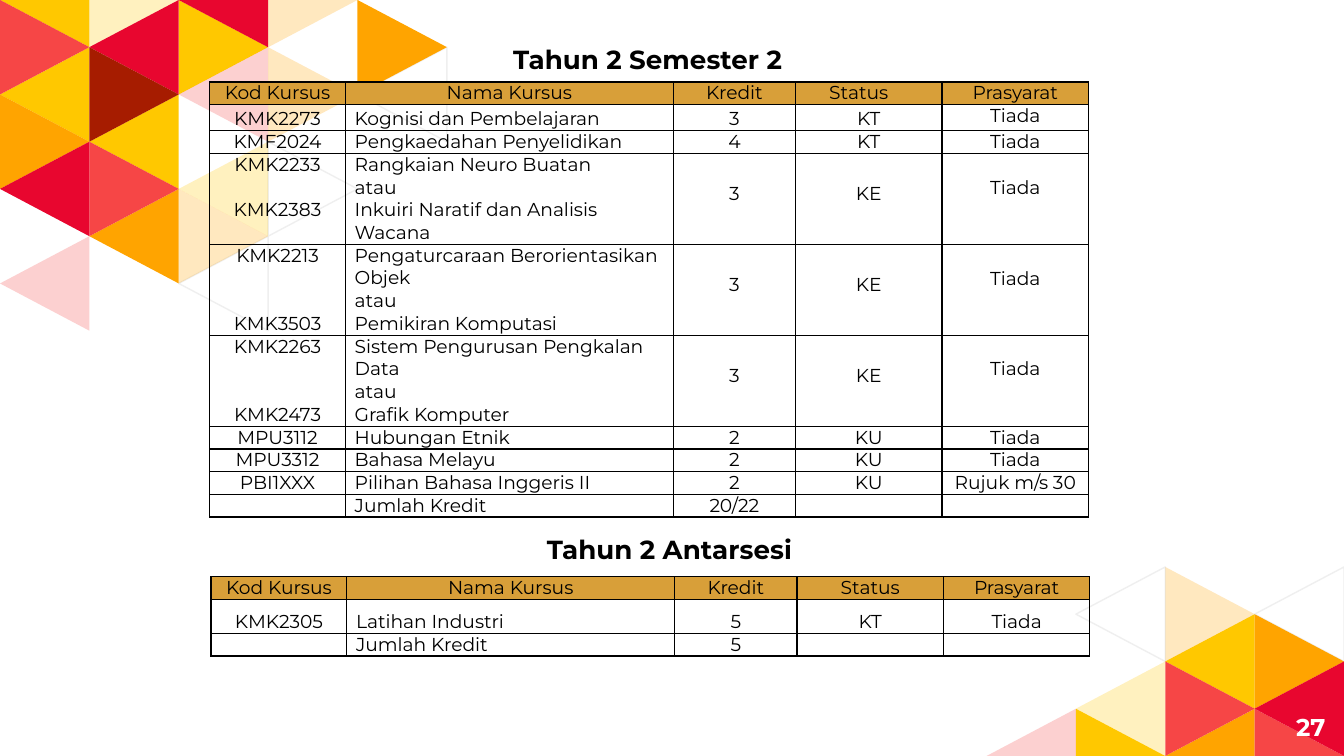
from lxml.etree import SubElement
from pptx import Presentation
from pptx.dml.color import RGBColor
from pptx.enum.text import MSO_ANCHOR, PP_ALIGN
from pptx.oxml.ns import qn
from pptx.util import Inches, Pt

BLACK = RGBColor(0x00, 0x00, 0x00)
WHITE = RGBColor(0xFF, 0xFF, 0xFF)
GREY = RGBColor(0xEF, 0xEF, 0xEF)
GOLD = RGBColor(0xD8, 0x9F, 0x39)
YELLOW = RGBColor(0xFF, 0xC8, 0x00)
ORANGE = RGBColor(0xFF, 0xA4, 0x00)
CORAL = RGBColor(0xF6, 0x46, 0x46)
RED = RGBColor(0xE8, 0x06, 0x2F)
BROWN = RGBColor(0xA6, 0x1C, 0x00)

FONT = "Montserrat"
WIDE = Inches(10)
HIGH = WIDE * 9 // 16
LINE = Pt(12.2)
COLS = (1.01, 2.44, 0.91, 1.09, 1.09)
HEAD = ("Kod Kursus", "Nama Kursus", "Kredit", "Status", "Prasyarat")

UPPER = {
    (WHITE, 100): [(3, 3), (2, 5), (4, 1)],
    (YELLOW, 100): [(2, 0), (0, 1), (1, 2), (0, -1)],
    (YELLOW, 25): [(1, -1), (2, 3)],
    (ORANGE, 100): [(0, 2), (4, 0), (1, 4)],
    (ORANGE, 25): [(3, 1), (2, 4), (3, -1)],
    (CORAL, 100): [(1, 3), (0, 0)],
    (CORAL, 25): [(0, 5), (2, 1)],
    (RED, 100): [(0, 3), (1, 0), (2, -1)],
    (BROWN, 100): [(1, 1)],
}
LOWER = {
    (WHITE, 100): [(1, 0), (3, 0)],
    (YELLOW, 100): [(1, 3), (2, 1)],
    (YELLOW, 25): [(1, 2)],
    (ORANGE, 100): [(3, 1), (2, 3)],
    (ORANGE, 25): [(2, 0)],
    (CORAL, 100): [(2, 2), (3, 3)],
    (CORAL, 25): [(0, 3)],
    (RED, 100): [(3, 2)],
}

TERM = [
    HEAD,
    ("KMK2273", "Kognisi dan Pembelajaran", "3", "KT", "Tiada"),
    ("KMF2024", "Pengkaedahan Penyelidikan", "4", "KT", "Tiada"),
    ("KMK2233\n\nKMK2383",
     "Rangkaian Neuro Buatan\natau\nInkuiri Naratif dan Analisis Wacana",
     "\n3", "\nKE", "\nTiada"),
    ("KMK2213\n\n\nKMK3503",
     "Pengaturcaraan Berorientasikan Objek\natau\nPemikiran Komputasi",
     "\n3", "\nKE", "\nTiada"),
    ("KMK2263\n\n\nKMK2473",
     "Sistem Pengurusan Pengkalan Data\natau\nGrafik Komputer",
     "\n3", "\nKE", "\nTiada"),
    ("MPU3112", "Hubungan Etnik", "2", "KU", "Tiada"),
    ("MPU3312", "Bahasa Melayu", "2", "KU", "Tiada"),
    ("PBI1XXX", "Pilihan Bahasa Inggeris II", "2", "KU", "Rujuk m/s 30"),
    ("", "Jumlah Kredit", "20/22", "", ""),
]
BREAK = [
    HEAD,
    ("KMK2305", "Latihan Industri", "5", "KT", "Tiada"),
    ("", "Jumlah Kredit", "5", "", ""),
]
TERM_LOOSE = {(1, col): 1.15 for col in range(4)} | {
    (row, col): 1.15 for row in (3, 4, 5) for col in (2, 3)}
BREAK_LOOSE = {(1, col): 1.5 for col in range(5)}


def area(left, top, width, height):
    """Turn percentages of the slide into a box of lengths."""
    return [int(side * part / 100) for side, part in
            zip((WIDE, HIGH, WIDE, HIGH), (left, top, width, height))]


def style(par, size, color=BLACK, bold=False):
    """Format the runs of a paragraph."""
    for run in par.runs:
        run.font.name = FONT
        run.font.size = Pt(size)
        run.font.bold = bold
        run.font.color.rgb = color


def mosaic(slide, box, cols, rows, tiles):
    """Fill a box with triangles that point right or left by parity."""
    left, top, width, height = box
    group = slide.shapes.add_group_shape().shapes
    for (color, alpha), spots in tiles.items():
        for col, row in spots:
            base, tip = (col, col + 1) if (col + row) % 2 == 0 else (col + 1, col)
            nodes = [(left + width * x // cols,
                      top + height * min(max(y, 0), rows) // rows)
                     for x, y in ((base, row), (base, row + 2), (tip, row + 1))]
            pen = group.build_freeform(*nodes[0])
            pen.add_line_segments(nodes[1:], close=True)
            shape = pen.convert_to_shape()
            shape.shadow.inherit = False
            shape.fill.solid()
            shape.fill.fore_color.rgb = color
            if color == WHITE:
                shape.line.color.rgb = GREY
                shape.line.width = Pt(0.75)
            else:
                shape.line.fill.background()
            if alpha < 100:
                tint = shape._element.spPr.find(f"{qn('a:solidFill')}/{qn('a:srgbClr')}")
                SubElement(tint, qn("a:alpha"), val=str(alpha * 1000))


def border(cell):
    """Draw a thin black line on each side of a cell."""
    props = cell._tc.get_or_add_tcPr()
    for side in ("lnL", "lnR", "lnT", "lnB"):
        edge = SubElement(props, qn(f"a:{side}"), w=str(Pt(0.75)))
        fill = SubElement(edge, qn("a:solidFill"))
        SubElement(fill, qn("a:srgbClr"), val=str(BLACK))


def write(cell, text, align, loose):
    """Set the lines of a cell, with empty lines turned into spacing."""
    body = text.lstrip("\n")
    cell.margin_left = cell.margin_right = Inches(0.07)
    cell.margin_top = int(LINE * (loose or 1) * (len(text) - len(body)))
    cell.margin_bottom = 0
    lines = body.split("\n")
    cell.text_frame.text = "\n".join(filter(None, lines))
    pars = iter(cell.text_frame.paragraphs)
    gap = 0
    for line in lines:
        if not line and body:
            gap += 1
            continue
        par = next(pars)
        par.alignment = align
        if gap:
            par.space_before = LINE * gap
        if loose:
            par.line_spacing = loose
        style(par, 10)
        if not body:
            par._p.get_or_add_endParaRPr().set("sz", "1000")
        gap = 0


def courses(slide, box, data, sizes, loose):
    """Place a course table whose rows are sized in text lines."""
    left, top, width, height = box
    table = slide.shapes.add_table(len(data), len(COLS), *box).table
    table.first_row = table.horz_banding = False
    for col, share in zip(table.columns, COLS):
        col.width = int(width * share / sum(COLS))
    for row, share in zip(table.rows, sizes):
        row.height = int(height * share / sum(sizes))
    for r, texts in enumerate(data):
        for c, text in enumerate(texts):
            cell = table.cell(r, c)
            align = PP_ALIGN.LEFT if c == 1 and r else PP_ALIGN.CENTER
            write(cell, text, align, loose.get((r, c)))
            border(cell)
            if r:
                cell.fill.background()
            else:
                cell.fill.solid()
                cell.fill.fore_color.rgb = GOLD
    return table


def title(slide, box, text):
    """Place a bold heading on one line."""
    frame = slide.shapes.add_textbox(*box).text_frame
    frame.word_wrap = False
    frame.text = text
    style(frame.paragraphs[0], 14, bold=True)


def folio(slide, box, text):
    """Place the page number at the right of its box."""
    frame = slide.shapes.add_textbox(*box).text_frame
    frame.word_wrap = True
    frame.vertical_anchor = MSO_ANCHOR.MIDDLE
    frame.margin_top = frame.margin_bottom = Inches(0.1)
    frame.text = text
    frame.paragraphs[0].alignment = PP_ALIGN.RIGHT
    style(frame.paragraphs[0], 13, WHITE, True)


def main():
    """Build the slide and save it."""
    deck = Presentation()
    deck.slide_width, deck.slide_height = WIDE, HIGH
    slide = deck.slides.add_slide(deck.slide_layouts[6])
    mosaic(slide, area(0, 0, 33.25, 43.75), 5, 7, UPPER)
    mosaic(slide, area(73.4, 75, 26.6, 25), 4, 4, LOWER)
    folio(slide, area(93.6, 92.3, 6, 7.6), "27")
    sizes = (1, 1.15, 1, 4, 4, 4, 1, 1, 1, 1)
    term = courses(slide, area(15.6, 10.84, 65.4, 57.6), TERM, sizes, TERM_LOOSE)
    status = term.cell(0, 3)
    status.margin_left = Inches(0.25)
    status.text_frame.paragraphs[0].alignment = PP_ALIGN.LEFT
    title(slide, area(37.2, 4.8, 22.2, 6), "Tahun 2 Semester 2")
    courses(slide, area(15.7, 76.3, 65.4, 10.5), BREAK, (1, 1.5, 1), BREAK_LOOSE)
    title(slide, area(39.7, 69.7, 20.6, 6), "Tahun 2 Antarsesi")
    deck.save("out.pptx")


if __name__ == "__main__":
    main()
